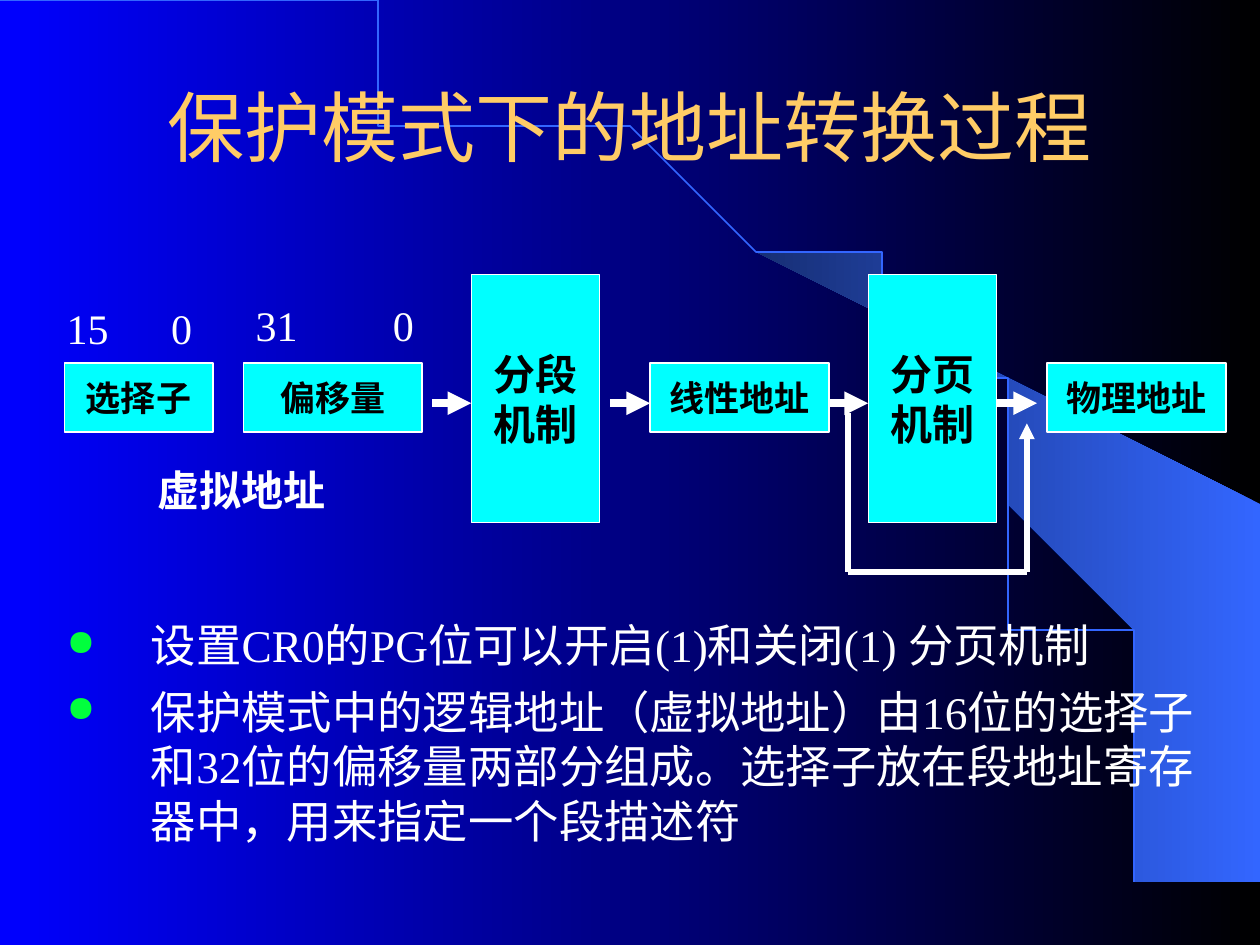
"""Build the slide on address translation in protected mode."""
from dataclasses import dataclass

from lxml import etree
from pptx import Presentation
from pptx.dml.color import RGBColor
from pptx.enum.shapes import MSO_CONNECTOR, MSO_SHAPE
from pptx.enum.text import MSO_ANCHOR, PP_ALIGN
from pptx.oxml.ns import qn
from pptx.util import Inches, Pt

RECTANGLE = MSO_SHAPE.RECTANGLE
STRAIGHT = MSO_CONNECTOR.STRAIGHT
TOP, MIDDLE = MSO_ANCHOR.TOP, MSO_ANCHOR.MIDDLE
LEFT, CENTER = PP_ALIGN.LEFT, PP_ALIGN.CENTER


@dataclass(frozen=True)
class Theme:
    """Colours, font and type sizes of the slide."""

    font: str = "Times New Roman"
    black: str = "000000"
    white: str = "FFFFFF"
    blue: str = "0000FF"
    arc: str = "3366FF"
    band_end: str = "172F75"
    box: str = "00FFFF"
    title: str = "FFCC66"
    bullet: str = "01FF3D"
    title_size: float = 44
    body_size: float = 25.9
    large_size: float = 24
    box_size: float = 20


THEME = Theme()
BAND = [(9.2, 7.48), (9.99, 7.49), (9.99, 4.23), (5.89, 1.73), (6.24, 1.99),
        (6.53, 2.22), (6.85, 2.5), (7.16, 2.8), (7.62, 3.3), (8.03, 3.84),
        (8.32, 4.31), (8.58, 4.79), (8.78, 5.28), (8.93, 5.72), (9.03, 6.09),
        (9.13, 6.56), (9.17, 6.96)]
ARC = [(0, 0), (5.08, 0), (9.2, 3.35), (9.2, 7.49)]
ADDRESS_BOXES = [("选择子", 0.51, 1.18), ("偏移量", 1.93, 1.42),
                 ("线性地址", 5.16, 1.42), ("物理地址", 8.31, 1.42)]
MECHANISMS = [(["分段", "机制"], 3.74), (["分页", "机制"], 6.89)]
BIT_RANGES = [("15\t0", (0.43, 2.35, 1.28, 0.5), 0.83),
              ("31\t0", (1.93, 2.33, 1.49, 0.5), 1.09)]
FLOW_ARROWS = [(3.43, 3.74), (4.84, 5.16), (6.58, 6.89), (7.91, 8.23)]
BYPASS = [(6.73, 3.28), (6.73, 4.54), (8.15, 4.54), (8.15, 3.36)]
NOTES = ["设置CR0的PG位可以开启(1)和关闭(1) 分页机制",
         "保护模式中的逻辑地址（虚拟地址）由16位的选择子和32位的偏移量两部分组成。"
         "选择子放在段地址寄存器中，用来指定一个段描述符"]


def set_values(target, values):
    """Set each named attribute on the target."""
    for name, value in values.items():
        setattr(target, name, value)


def color(value):
    """Turn a hex value into a colour."""
    return RGBColor.from_string(value)


def fill_gradient(fill, start, end):
    """Fill with a gradient that runs from right to left."""
    fill.gradient()
    fill.gradient_angle = 180
    for stop, value in zip(fill.gradient_stops, (start, end)):
        stop.color.rgb = color(value)


def write_text(shape, lines, size, ink, bold=False, align=LEFT, anchor=TOP, wrap=True):
    """Write one paragraph for each line and return the paragraphs."""
    frame = shape.text_frame
    set_values(frame, {"word_wrap": wrap, "vertical_anchor": anchor,
                       "text": "\n".join(lines)})
    for para in frame.paragraphs:
        para.alignment = align
        for span in para.runs:
            set_values(span.font, {"name": THEME.font, "size": Pt(size), "bold": bold})
            span.font.color.rgb = color(ink)
    return frame.paragraphs


def add_text(page, place, lines, size, ink, **options):
    """Add a text box and return its paragraphs."""
    box = page.shapes.add_textbox(*map(Inches, place))
    return write_text(box, lines, size, ink, **options)


def add_box(page, place, lines, size):
    """Add a labelled rectangle."""
    box = page.shapes.add_shape(RECTANGLE, *map(Inches, place))
    box.shadow.inherit = False
    box.fill.solid()
    box.fill.fore_color.rgb = color(THEME.box)
    box.line.color.rgb = color(THEME.white)
    box.line.width = Pt(0.75)
    write_text(box, lines, size, THEME.black, bold=True,
               align=CENTER, anchor=MIDDLE, wrap=False)


def add_line(page, start, end, width, arrow=True):
    """Add a white straight line, with an arrowhead if wanted."""
    line = page.shapes.add_connector(STRAIGHT, *map(Inches, (*start, *end)))
    line.line.color.rgb = color(THEME.white)
    line.line.width = Pt(width)
    if arrow:
        outline = line.line._get_or_add_ln()
        etree.SubElement(outline, qn("a:tailEnd"), type="triangle")
    etree.SubElement(line._element.spPr, qn("a:effectLst"))


def add_outline(page, points, close):
    """Add a freeform through the points."""
    builder = page.shapes.build_freeform(*points[0], scale=Inches(1))
    builder.add_line_segments(points[1:], close=close)
    shape = builder.convert_to_shape()
    shape.shadow.inherit = False
    return shape


def curve_points(controls, steps=80):
    """Return points along a cubic Bezier curve."""
    points = []
    for step in range(steps + 1):
        t = step / steps
        weights = ((1 - t) ** 3, 3 * t * (1 - t) ** 2, 3 * t * t * (1 - t), t ** 3)
        points.append(tuple(sum(w * c for w, c in zip(weights, axis))
                            for axis in zip(*controls)))
    return points


def add_tab(para, position):
    """Add a left tab stop to a paragraph."""
    stops = etree.SubElement(para._p.get_or_add_pPr(), qn("a:tabLst"))
    etree.SubElement(stops, qn("a:tab"), pos=str(Inches(position)), algn="l")


def add_bullet(para):
    """Give a paragraph a hanging round bullet."""
    para.space_before = Pt(7)
    props = para._p.get_or_add_pPr()
    props.set("marL", str(Inches(0.67)))
    props.set("indent", str(Inches(-0.67)))
    tint = etree.SubElement(props, qn("a:buClr"))
    etree.SubElement(tint, qn("a:srgbClr"), val=THEME.bullet)
    etree.SubElement(props, qn("a:buSzPct"), val="80000")
    etree.SubElement(props, qn("a:buChar"), char="●")


def add_backdrop(page):
    """Add the gradient background, the band and the arc."""
    fill_gradient(page.background.fill, THEME.black, THEME.blue)
    band = add_outline(page, BAND, close=True)
    fill_gradient(band.fill, THEME.arc, THEME.band_end)
    band.line.fill.background()
    arc = add_outline(page, curve_points(ARC), close=False)
    arc.fill.background()
    arc.line.color.rgb = color(THEME.arc)
    arc.line.width = Pt(1)


def add_diagram(page):
    """Add the boxes, bit labels and arrows of the translation."""
    for label, left, width in ADDRESS_BOXES:
        add_box(page, (left, 2.88, width, 0.55), [label], THEME.box_size)
    for lines, left in MECHANISMS:
        add_box(page, (left, 2.18, 1.02, 1.97), lines, THEME.large_size)
    add_text(page, (1.15, 3.64, 1.53, 0.5), ["虚拟地址"], THEME.large_size,
             THEME.white, bold=True, wrap=False)
    for label, place, stop in BIT_RANGES:
        for para in add_text(page, place, [label], THEME.large_size, THEME.white):
            add_tab(para, stop)
    for start, end in FLOW_ARROWS:
        add_line(page, (start, 3.2), (end, 3.2), 4.5)
    for start, end in zip(BYPASS, BYPASS[1:]):
        add_line(page, start, end, 3, arrow=end == BYPASS[-1])


def main():
    """Build and save the deck."""
    deck = Presentation()
    set_values(deck, {"slide_width": Inches(10), "slide_height": Inches(7.5)})
    page = deck.slides.add_slide(deck.slide_layouts[6])
    add_backdrop(page)
    add_text(page, (0.75, 0.6, 8.5, 0.8), ["保护模式下的地址转换过程"],
             THEME.title_size, THEME.title, align=CENTER, anchor=MIDDLE)
    for para in add_text(page, (0.43, 4.85, 9.37, 2.21), NOTES,
                         THEME.body_size, THEME.white):
        add_bullet(para)
    add_diagram(page)
    deck.save("out.pptx")


main()
